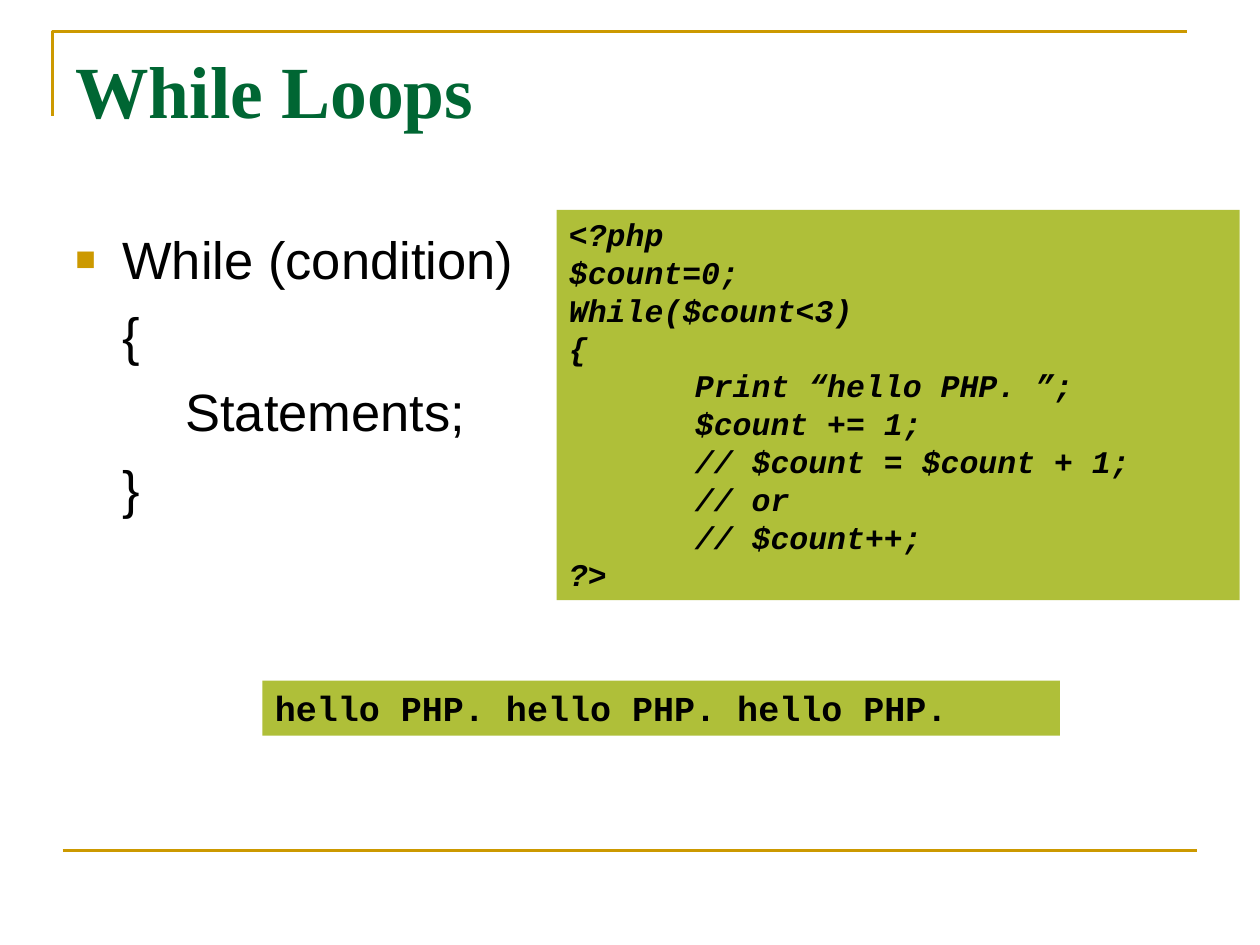
from lxml import etree
from pptx import Presentation
from pptx import util as u
from pptx.dml.color import RGBColor
from pptx.enum import shapes, text
from pptx.oxml import ns

GOLD = RGBColor(0xCC, 0x99, 0x00)
GREEN = RGBColor(0x00, 0x66, 0x33)
OLIVE = RGBColor(0xAF, 0xBF, 0x39)
BLACK = RGBColor(0, 0, 0)

SYNTAX = ["While (condition)", "\t{", "\t\tStatements;", "\t}"]
CODE = ["<?php", "$count=0;", "While($count<3)", "{",
        "\tPrint “hello PHP. ”;", "\t$count += 1;",
        "\t// $count = $count + 1;", "\t// or", "\t// $count++;", "?> "]
OUTPUT = ["hello PHP. hello PHP. hello PHP."]


def add_tab_stops(paragraph):
    """Tab stops one step of 2.54 cm apart, starting at the indent."""
    stops = etree.SubElement(paragraph._p.get_or_add_pPr(), ns.qn("a:tabLst"))
    for step in range(3):
        etree.SubElement(stops, ns.qn("a:tab"),
                         pos=str(int(u.Cm(2.54 * step))), algn="l")


def write(frame, lines, font, size, color=BLACK, bold=False, italic=False,
          before=0, top=0.13):
    """Fill a text frame with one paragraph per line."""
    frame.word_wrap = True
    frame.auto_size = text.MSO_AUTO_SIZE.NONE
    frame.vertical_anchor = text.MSO_ANCHOR.TOP
    frame.margin_left = frame.margin_right = u.Cm(0.25)
    frame.margin_top, frame.margin_bottom = u.Cm(top), u.Cm(0.13)
    for number, line in enumerate(lines):
        paragraph = frame.add_paragraph() if number else frame.paragraphs[0]
        paragraph.alignment = text.PP_ALIGN.LEFT
        paragraph.line_spacing = u.Pt(size * 1.2)
        paragraph.space_before = u.Pt(before)
        if line.startswith("\t"):
            add_tab_stops(paragraph)
        run = paragraph.add_run()
        run.text = line
        run.font.name, run.font.size = font, u.Pt(size)
        run.font.bold, run.font.italic = bold, italic
        run.font.color.rgb = color


def add_bullet(paragraph):
    properties = paragraph._p.get_or_add_pPr()
    color = etree.SubElement(properties, ns.qn("a:buClr"))
    etree.SubElement(color, ns.qn("a:srgbClr"), val=str(GOLD))
    etree.SubElement(properties, ns.qn("a:buSzPct"), val="65000")
    etree.SubElement(properties, ns.qn("a:buFont"), typeface="Arial")
    etree.SubElement(properties, ns.qn("a:buChar"), char="■")


def add_frame_lines(slide, left, top, width, height):
    """Corner line above the title and rule at the foot."""
    builder = slide.shapes.build_freeform(u.Cm(left), u.Cm(top + 1.7))
    builder.add_line_segments([(u.Cm(left), u.Cm(top)),
                               (u.Cm(left + width), u.Cm(top))], close=False)
    corner = builder.convert_to_shape()
    corner.fill.background()
    corner.shadow.inherit = False
    foot = u.Cm(top + height)
    rule = slide.shapes.add_connector(
        shapes.MSO_CONNECTOR.STRAIGHT, u.Cm(left + 0.2), foot,
        u.Cm(left + 0.2 + width), foot)
    etree.SubElement(rule._element.spPr, ns.qn("a:effectLst"))
    for part in (corner, rule):
        part.line.color.rgb = GOLD
        part.line.width = u.Pt(1.5)


def add_title(slide, left, top, width, height):
    title = slide.shapes.title
    title.left, title.top = u.Cm(left), u.Cm(top)
    title.width, title.height = u.Cm(width), u.Cm(height)
    write(title.text_frame, ["While Loops"], "Times New Roman", 42,
          color=GREEN, bold=True, top=0.15)


def add_syntax(slide, left, top, width, height):
    """Bulleted loop syntax with a hanging indent."""
    syntax = slide.shapes.add_textbox(u.Cm(left), u.Cm(top),
                                      u.Cm(width), u.Cm(height))
    write(syntax.text_frame, SYNTAX, "Arial", 30, before=7.5)
    for paragraph in syntax.text_frame.paragraphs:
        properties = paragraph._p.get_or_add_pPr()
        properties.set("marL", str(u.Cm(0.95)))
        properties.set("indent", str(-u.Cm(0.95)))
    add_bullet(syntax.text_frame.paragraphs[0])


def add_panel(slide, left, top, width, height, lines, size, italic=False):
    """Olive box with monospaced text."""
    panel = slide.shapes.add_shape(shapes.MSO_SHAPE.RECTANGLE, u.Cm(left),
                                   u.Cm(top), u.Cm(width), u.Cm(height))
    panel.shadow.inherit = False
    panel.fill.solid()
    panel.fill.fore_color.rgb = OLIVE
    panel.line.fill.background()
    write(panel.text_frame, lines, "Courier New", size, bold=True,
          italic=italic, top=0.11)


def build_slide(deck):
    slide = deck.slides.add_slide(deck.slide_layouts[5])
    add_frame_lines(slide, 1.06, 0.63, 22.86, 16.51)
    add_title(slide, 1.27, 0.76, 22.86, 3.18)
    add_syntax(slide, 1.27, 4.45, 22.86, 12.57)
    add_panel(slide, 11.22, 4.23, 13.77, 7.87, CODE, 18, italic=True)
    add_panel(slide, 5.29, 13.72, 16.08, 1.11, OUTPUT, 20)


deck = Presentation()
deck.slide_width, deck.slide_height = u.Cm(25.4), u.Cm(19.05)
build_slide(deck)
deck.save("out.pptx")
